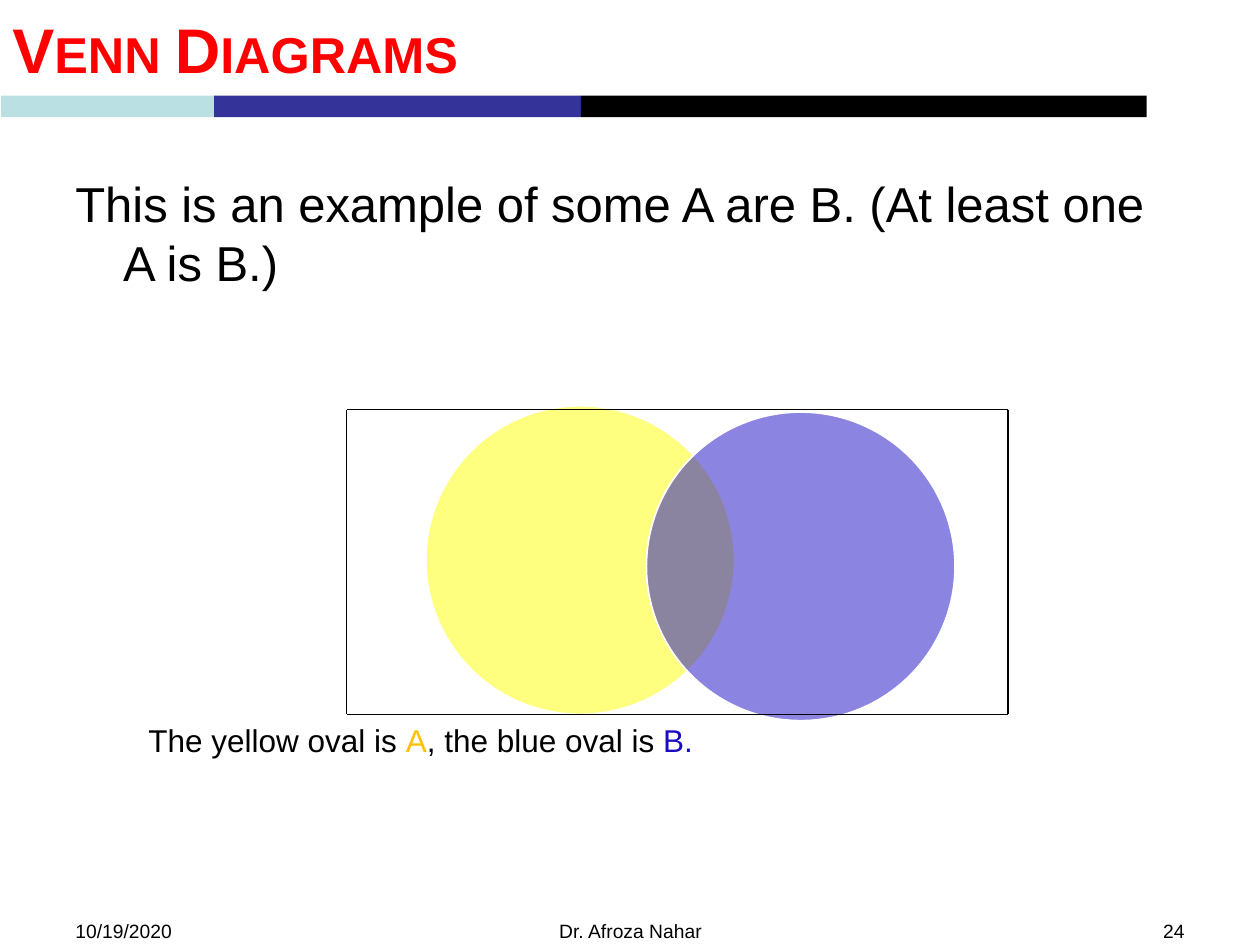
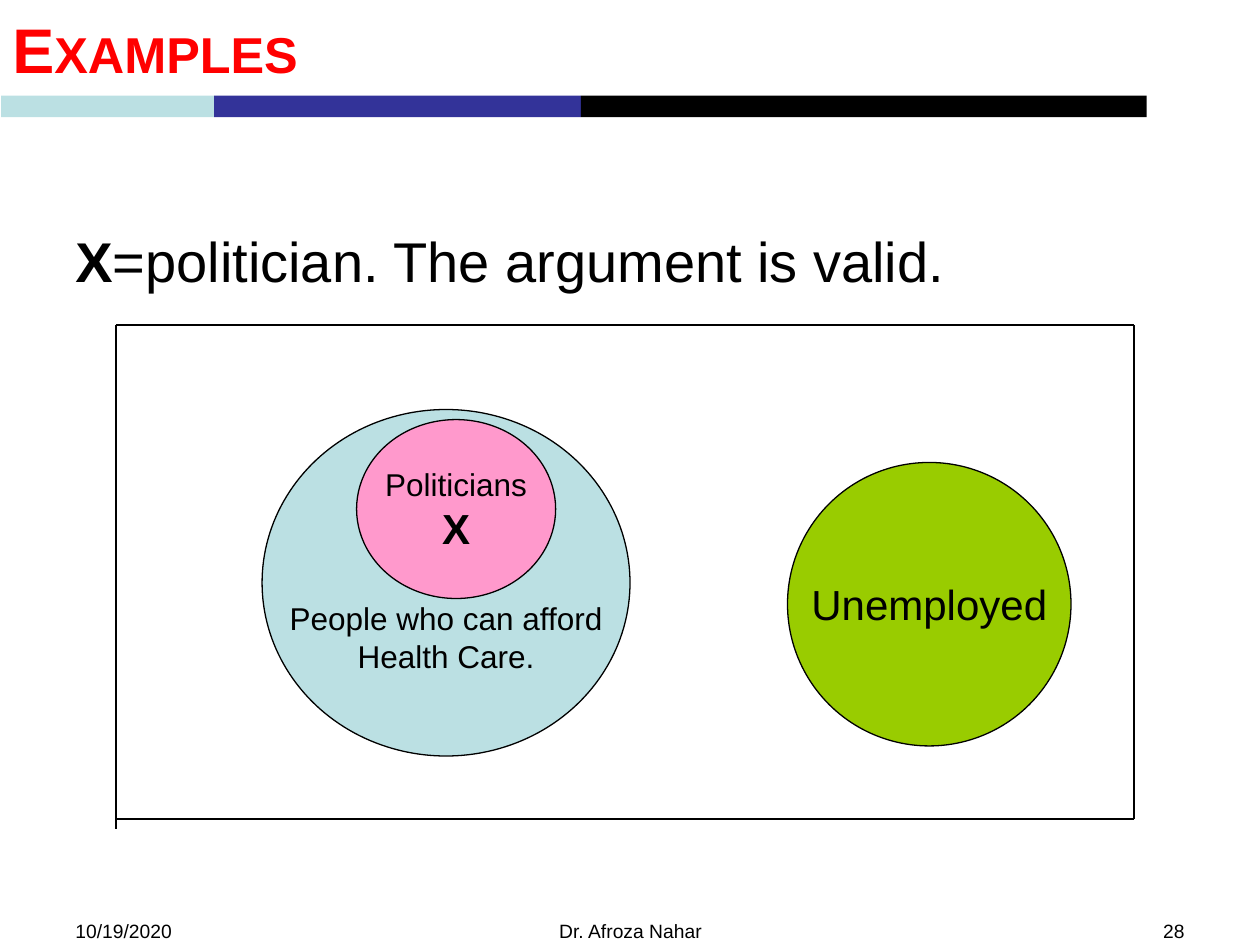
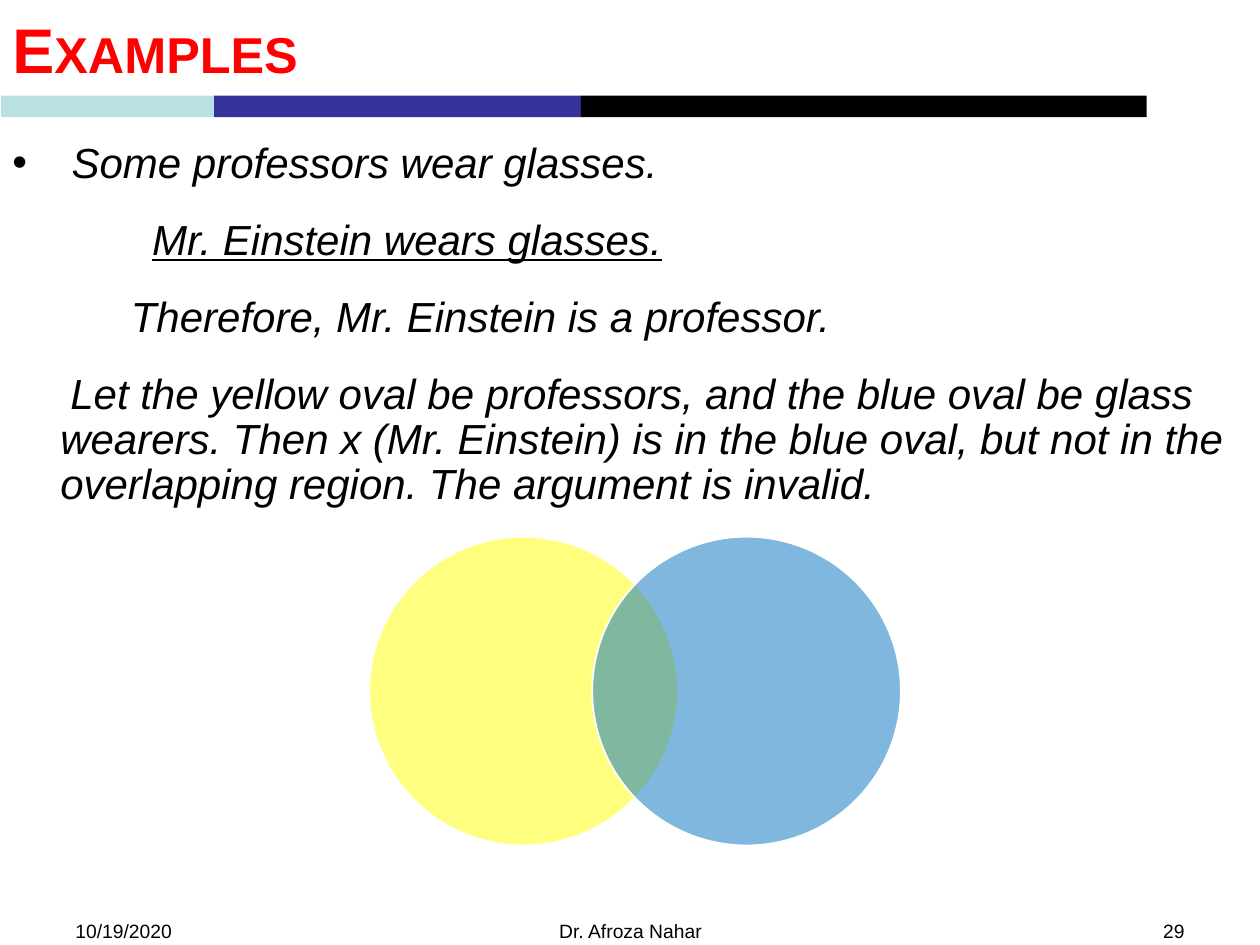
from lxml.etree import SubElement
from pptx import Presentation
from pptx.dml.color import RGBColor
from pptx.enum.shapes import MSO_CONNECTOR as Connector, MSO_SHAPE as Preset
from pptx.enum.text import MSO_ANCHOR as Anchor, PP_ALIGN as Align
from pptx.oxml.ns import qn
from pptx.util import Inches, Pt

FONT = "Arial"
COLORS = {
    "black": "000000", "white": "FFFFFF", "title": "FF0000",
    "pale": "BBE0E3", "navy": "333399",
    "yellow": "FFFF00", "violet": "180BC3", "blue": "0070C0",
    "amber": "FFC000", "pink": "FF99CC", "green": "99CC00",
}


def write(para, spans, size, align=Align.LEFT):
    """Fill a paragraph with (text, options) spans in the deck font."""
    para.alignment = align
    for text, options in spans:
        span = para.add_run()
        span.text = text
        font = span.font
        font.name = FONT
        font.size = Pt(options.get("size", size))
        font.bold = options.get("bold", False)
        font.italic = options.get("italic", False)
        font.underline = options.get("underline", False)
        font.color.rgb = RGBColor.from_string(COLORS[options.get("color", "black")])


def add_text(page, at, spans, size, align=Align.LEFT):
    """Add a wrapping text box with one paragraph and return the box."""
    box = page.shapes.add_textbox(*map(Inches, at))
    box.text_frame.word_wrap = True
    write(box.text_frame.paragraphs[0], spans, size, align)
    return box


deck = Presentation()
deck.slide_width, deck.slide_height = Inches(10), Inches(7.5)

# Shared parts: three-colour band, title, footers
band_edges = [0.01, 1.7, 4.61, 9.1]
band_colors = ["pale", "navy", "black"]
pages = []
for title, number in [("Venn Diagrams", "24"), ("Examples", "28"), ("Examples", "29")]:
    page = deck.slides.add_slide(deck.slide_layouts[6])
    pages.append(page)
    for left, right, color in zip(band_edges, band_edges[1:], band_colors):
        band = page.shapes.add_shape(Preset.RECTANGLE, Inches(left), Inches(0.76),
                                     Inches(right - left), Inches(0.17))
        band.shadow.inherit = False
        band.fill.solid()
        band.fill.fore_color.rgb = RGBColor.from_string(COLORS[color])
        band.line.fill.background()

    heading = add_text(page, (0, 0, 9.1, 0.76),
                       [(title, {"bold": True, "color": "title"})], 36).text_frame
    heading.vertical_anchor = Anchor.MIDDLE
    heading.paragraphs[0].space_before = Pt(6)
    heading.paragraphs[0].runs[0].font._element.set("cap", "small")

    for left, width, text, align in [(0.5, 2.33, "10/19/2020", Align.LEFT),
                                     (3.42, 3.17, "Dr. Afroza Nahar", Align.CENTER),
                                     (7.17, 2.33, number, Align.RIGHT)]:
        add_text(page, (left, 7.25, width, 0.4), [(text, {})], 11, align)

venn_page, valid_page, invalid_page = pages

# Statements with a hanging indent
statements = [
    (venn_page, (0.5, 1.33, 9, 1.67), 28,
     [("This is an example of some A are B. (At least one A is B.)", {})]),
    (valid_page, (0.5, 1.75, 9, 4.95), 32,
     [("X", {"bold": True}), ("=politician. The argument is valid.", {})]),
]
for page, at, size, spans in statements:
    para = add_text(page, at, spans, size).text_frame.paragraphs[0]
    para.space_before = Pt(4)
    props = para._p.get_or_add_pPr()
    props.set("marL", str(Inches(0.38)))
    props.set("indent", str(Inches(-0.38)))

# The invalid argument: text, left margin, first-line indent, underline
argument = [
    ("Some professors wear glasses.", 0.47, -0.47, False),
    ("Mr. Einstein wears glasses.", 1.11, 0, True),
    ("Therefore, Mr. Einstein is a professor.", 0.94, 0, False),
    ("Let the yellow oval be professors, and the blue oval be glass wearers. "
     "Then x (Mr. Einstein) is in the blue oval, but not in the overlapping region. "
     "The argument is invalid.", 0.38, 0.08, False),
]
box = add_text(invalid_page, (0, 1.08, 9.99, 5.96), [], 24)
for index, (text, margin, indent, underline) in enumerate(argument):
    para = box.text_frame.add_paragraph() if index else box.text_frame.paragraphs[0]
    write(para, [(text, {"italic": True, "underline": underline})], 24)
    para.line_spacing = 0.9
    para.space_before, para.space_after = Pt(12), Pt(6)
    props = para._p.get_or_add_pPr()
    props.set("marL", str(Inches(margin)))
    props.set("indent", str(Inches(indent)))
    if index == 0:
        SubElement(props, qn("a:buFont")).set("typeface", FONT)
        SubElement(props, qn("a:buChar")).set("char", "\u2022")

# Overlapping, half-transparent Venn circles
circles = [
    (venn_page, 3.38, 3.22, "yellow"), (venn_page, 5.13, 3.27, "violet"),
    (invalid_page, 2.93, 4.26, "yellow"), (invalid_page, 4.7, 4.26, "blue"),
]
for page, left, top, color in circles:
    circle = page.shapes.add_shape(Preset.OVAL, Inches(left), Inches(top),
                                   Inches(2.45), Inches(2.45))
    circle.shadow.inherit = False
    circle.fill.solid()
    circle.fill.fore_color.rgb = RGBColor.from_string(COLORS[color])
    fill_color = circle._element.spPr.find(qn("a:solidFill"))[0]
    SubElement(fill_color, qn("a:alpha")).set("val", "50000")
    circle.line.color.rgb = RGBColor.from_string(COLORS["white"])
    circle.line.width = Pt(1)

add_text(venn_page, (1.08, 5.67, 7.92, 0.4),
         [("The yellow oval is ", {}), ("A", {"color": "amber"}),
          (", the blue oval is ", {}), ("B.", {"color": "violet"})], 18)

# Labelled sets; the top inset keeps the outer label below the inner oval
labelled_sets = [
    ((2.08, 3.25, 2.92, 2.75), "pale", 18, 0.91,
     [("People who can afford", {}), ("Health Care.", {})]),
    ((2.83, 3.33, 1.58, 1.42), "pink", 18, 0.05,
     [("Politicians", {}), ("X", {"size": 24, "bold": True})]),
    ((6.25, 3.67, 2.25, 2.25), "green", 24, 0.05, [("Unemployed", {})]),
]
for at, color, size, inset, lines in labelled_sets:
    oval = valid_page.shapes.add_shape(Preset.OVAL, *map(Inches, at))
    oval.shadow.inherit = False
    oval.fill.solid()
    oval.fill.fore_color.rgb = RGBColor.from_string(COLORS[color])
    oval.line.color.rgb = RGBColor.from_string(COLORS["black"])
    oval.line.width = Pt(0.75)
    label = oval.text_frame
    label.word_wrap = False
    label.vertical_anchor = Anchor.MIDDLE
    label.margin_top = Inches(inset)
    for index, line in enumerate(lines):
        para = label.add_paragraph() if index else label.paragraphs[0]
        write(para, [line], size, Align.CENTER)

# Frames round the diagrams; the left side may run past the bottom corner
for page, left, top, right, bottom, left_end in [
        (venn_page, 2.75, 3.25, 8, 5.67, 5.67),
        (valid_page, 0.92, 2.58, 9, 6.5, 6.58)]:
    for side in [(left, top, right, top), (right, top, right, bottom),
                 (right, bottom, left, bottom), (left, top, left, left_end)]:
        edge = page.shapes.add_connector(Connector.STRAIGHT, *map(Inches, side))
        edge.line.color.rgb = RGBColor.from_string(COLORS["black"])
        edge.line.width = Pt(0.75)
        SubElement(edge._element.spPr, qn("a:effectLst"))

deck.save("out.pptx")
